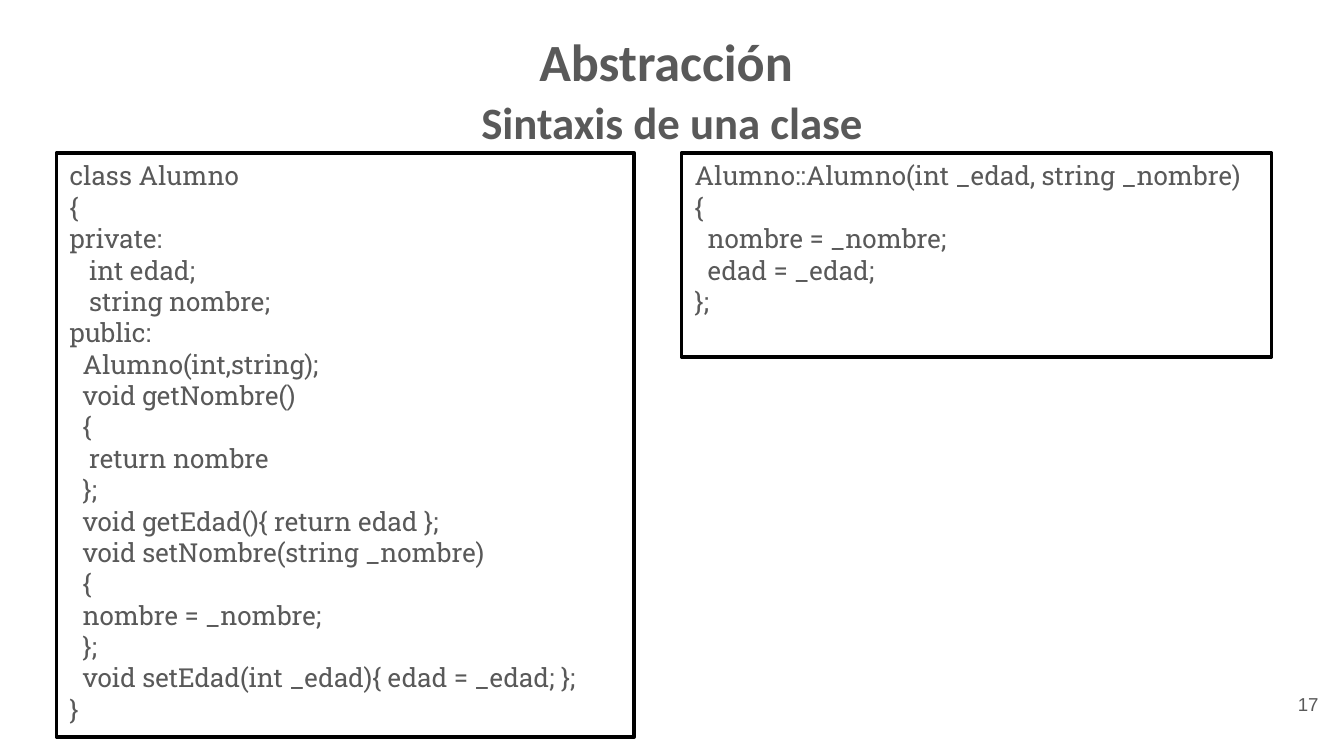
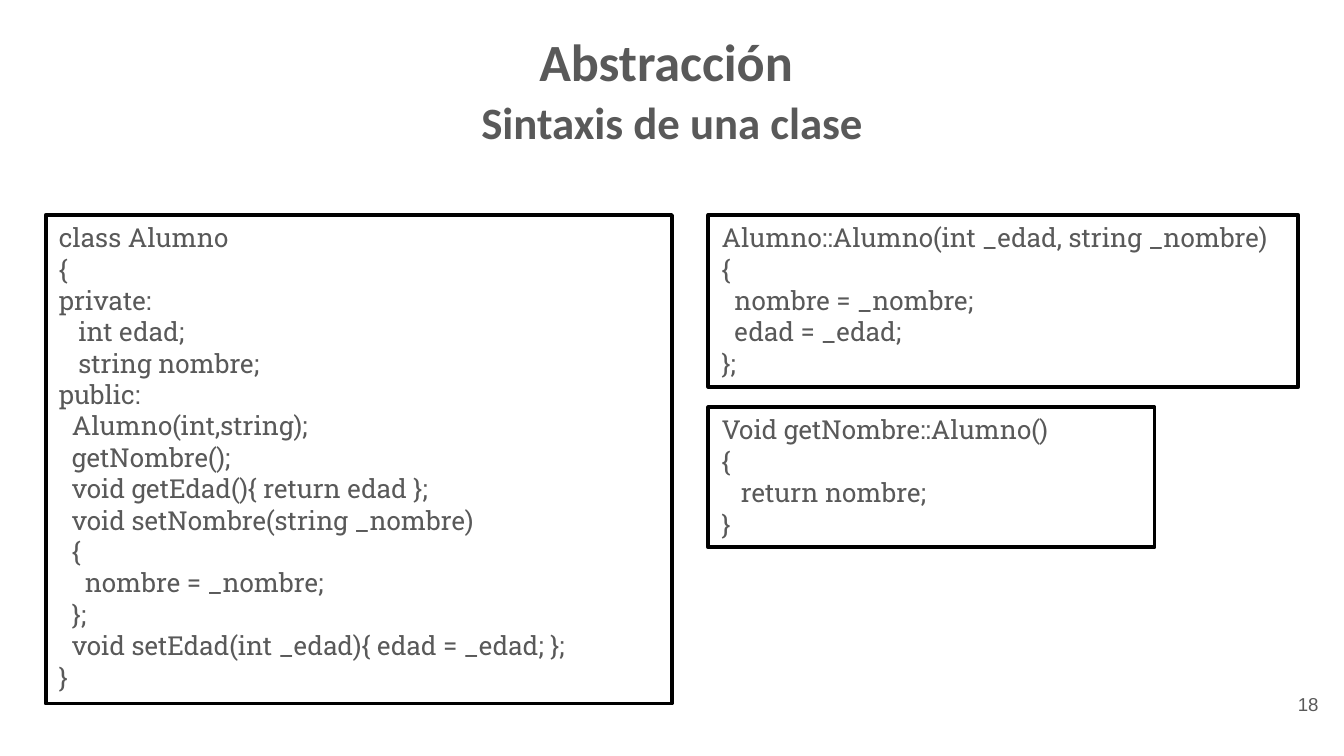
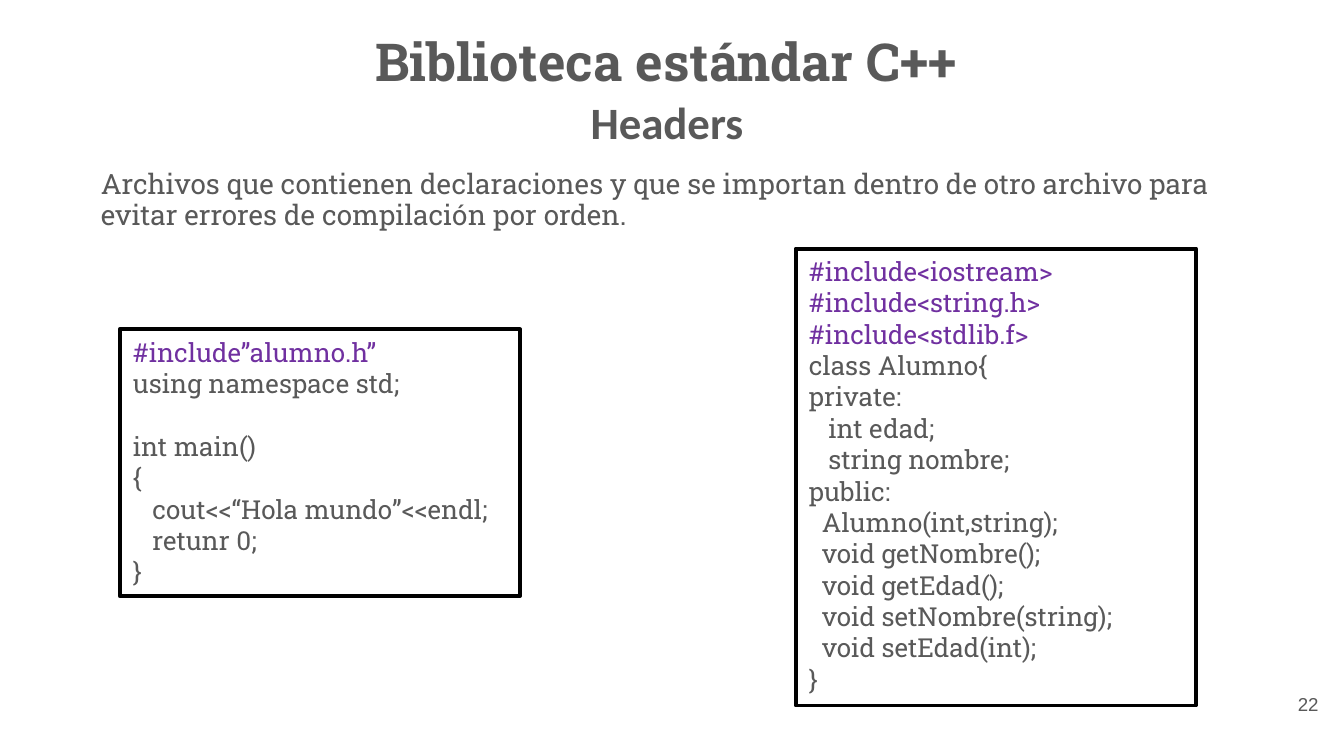
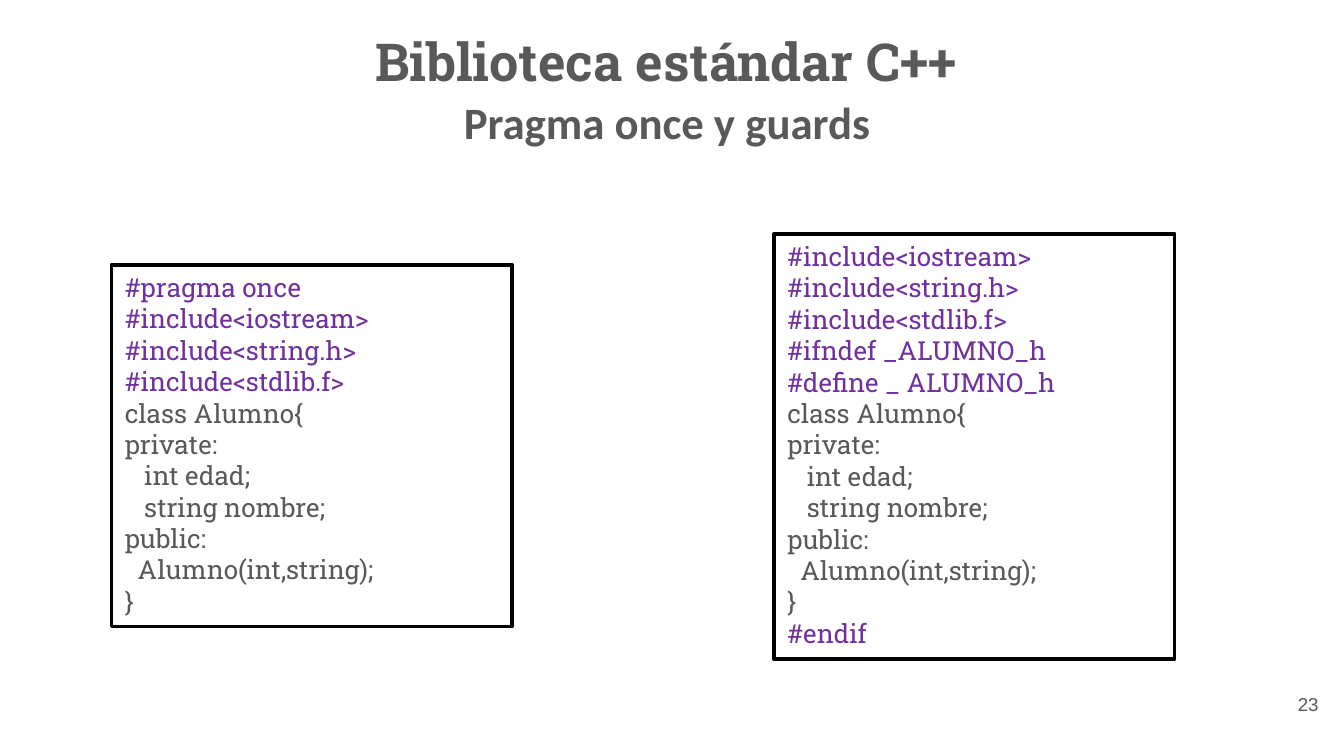
from pptx import Presentation
from pptx.util import Inches, Pt
from pptx.dml.color import RGBColor
from pptx.enum.shapes import MSO_SHAPE as Shape
from pptx.enum.text import PP_ALIGN as Align, MSO_ANCHOR as Anchor, MSO_AUTO_SIZE as Fit
from lxml import etree

# Shared style
WIDE = 10
TALL = WIDE * 9 / 16
GREY, PURPLE, BLACK, WHITE = "595959", "7030A0", "000000", "FFFFFF"
SANS, SLAB, PLAIN = "Calibri", "Roboto Slab", "Arial"
ROW = 16.97  # height of one code line, in points
PAD = 0.1    # top and bottom margins of a code box, in inches

# Code fragments used on several slides
HEADS = ["#include<iostream>", "#include<string.h>", "#include<stdlib.f>"]
FIELDS = ["private:", "   int edad;", "   string nombre;",
          "public:", "  Alumno(int,string);"]
OPEN = ["class Alumno", "{"] + FIELDS
BRIEF = ["class Alumno{"] + FIELDS
GET_AGE = "  void getEdad(){ return edad };"
SET_NAME = ["  void setNombre(string _nombre)", "  {"]
SET_AGE = ["  };", "  void setEdad(int _edad){ edad = _edad; };", "}"]
BUILD = ["Alumno::Alumno(int _edad, string _nombre)", "{",
         "  nombre = _nombre;", "  edad = _edad;", "};"]

INLINE = (OPEN + ["  void getNombre()", "  {", "   return nombre", "  };", GET_AGE]
          + SET_NAME + ["  nombre = _nombre;"] + SET_AGE)
SPLIT = (OPEN + ["  getNombre();", GET_AGE]
         + SET_NAME + ["    nombre = _nombre;"] + SET_AGE)
GET_NAME = ["Void getNombre::Alumno()", "{", "   return nombre;", "}"]
MAIN = ["#include”alumno.h”", "using namespace std;", "", "int main()", "{",
        "   cout<<“Hola mundo”<<endl;", "   retunr 0;", "}"]
HEADER = HEADS + BRIEF + ["  void getNombre();", "  void getEdad();",
                          "  void setNombre(string);", "  void setEdad(int);", "}"]
PRAGMA = ["#pragma once"] + HEADS + BRIEF + ["}"]
GUARD = (HEADS + ["#ifndef _ALUMNO_h", "#define _ ALUMNO_h"]
         + BRIEF + ["}", "#endif"])

# Slides; each code box is (left, top, width, rows, lines)
CLASS = ("Abstracción ", SANS)
LIB = ("Biblioteca estándar C++ ", SLAB)
SLIDES = [
    dict(page=17, title=CLASS, sub="Sintaxis de una clase",
         boxes=[(0.42, 1.14, 4.3, 18, INLINE), (5.07, 1.14, 4.39, 6, BUILD)]),
    dict(page=18, title=CLASS, sub="Sintaxis de una clase",
         boxes=[(0.34, 1.6, 4.66, 15, SPLIT), (5.27, 1.6, 4.39, 5, BUILD),
                (5.27, 3.03, 3.32, 4, GET_NAME)]),
    dict(page=22, title=LIB, sub="Headers ",
         body="Archivos que contienen declaraciones y que se importan dentro de "
              "otro archivo para evitar errores de compilación por orden.",
         boxes=[(0.89, 2.45, 2.98, 8, MAIN), (5.92, 1.85, 2.98, 14, HEADER)]),
    dict(page=23, title=LIB, sub="Pragma once y guards ",
         boxes=[(0.83, 1.97, 2.98, 11, PRAGMA), (5.76, 1.74, 2.98, 13, GUARD)]),
]


def color(code):
    return RGBColor.from_string(code)


def place(shape, left, top, width, height):
    shape.left, shape.top = Inches(left), Inches(top)
    shape.width, shape.height = Inches(width), Inches(height)


def frame(shape, side, ends, anchor=Anchor.TOP):
    """Set margins, wrapping and anchor of a shape's text."""
    text = shape.text_frame
    text.word_wrap, text.auto_size = True, Fit.NONE
    text.vertical_anchor = anchor
    text.margin_left = text.margin_right = Inches(side)
    text.margin_top = text.margin_bottom = Inches(ends)
    return text


def style(para, size, face, tint=GREY, bold=False, align=Align.LEFT):
    para.alignment = align
    font = para.font
    font.size, font.name, font.bold = Pt(size), face, bold
    font.color.rgb = color(tint)


def label(shape, text, size, face, bold=False, align=Align.LEFT):
    """Fill a heading or body shape with one tight paragraph."""
    para = frame(shape, 0.07, 0.07).paragraphs[0]
    para.text = text
    para.line_spacing, para.space_before = 0.9, Pt(0)
    style(para, size, face, bold=bold, align=align)
    return para


def code_box(slide, left, top, width, rows, lines):
    height = PAD + rows * ROW / 72
    box = slide.shapes.add_shape(Shape.RECTANGLE, Inches(left), Inches(top),
                                 Inches(width), Inches(height))
    box.shadow.inherit = False
    box.fill.solid()
    box.fill.fore_color.rgb = color(WHITE)
    box.line.color.rgb = color(BLACK)
    box.line.width = Pt(2)
    text = frame(box, 0.1, PAD / 2)
    para, gap = text.paragraphs[0], 0
    for num, line in enumerate(lines):
        if not line:  # an empty code line becomes space before the next one
            gap += ROW
            continue
        if num:
            para = text.add_paragraph()
        para.text = line
        if gap:
            para.space_before, gap = Pt(gap), 0
        style(para, 14, SLAB, PURPLE if line.startswith("#") else GREY)


def add_slide(deck, page, title, sub, boxes, body=None):
    slide = deck.slides.add_slide(deck.slide_layouts[1 if body else 5])
    shapes = slide.shapes

    # Title and subtitle
    words, face = title
    place(shapes.title, 0.34, 0.2, 9.32, 0.46)
    label(shapes.title, words, 28, face, True, Align.CENTER)
    line = shapes.add_textbox(0, 0, 0, 0)
    place(line, 0.34, 0.68, 9.32, 0.46)
    label(line, sub, 24, SANS, True, Align.CENTER)

    # Body text without a bullet
    if body:
        holder = slide.placeholders[1]
        place(holder, 0.67, 1.2, 8.76, 0.6)
        para = label(holder, body, 15, SLAB)
        props = para._p.get_or_add_pPr()
        props.set("marL", str(Inches(0.01)))
        props.set("indent", "0")
        space = props.nsmap["a"]
        props.find(f"{{{space}}}spcBef").addnext(
            etree.Element(f"{{{space}}}buNone"))

    # Code
    for box in boxes:
        code_box(slide, *box)

    # Page number
    foot = shapes.add_textbox(0, 0, 0, 0)
    place(foot, 9.27, 5.1, 0.6, 0.28)
    para = frame(foot, 0.06, 0.06, Anchor.MIDDLE).paragraphs[0]
    para.text = str(page)
    style(para, 10, PLAIN, align=Align.RIGHT)


def main():
    deck = Presentation()
    deck.slide_width, deck.slide_height = Inches(WIDE), Inches(TALL)
    for item in SLIDES:
        add_slide(deck, **item)
    deck.save("out.pptx")


if __name__ == "__main__":
    main()
